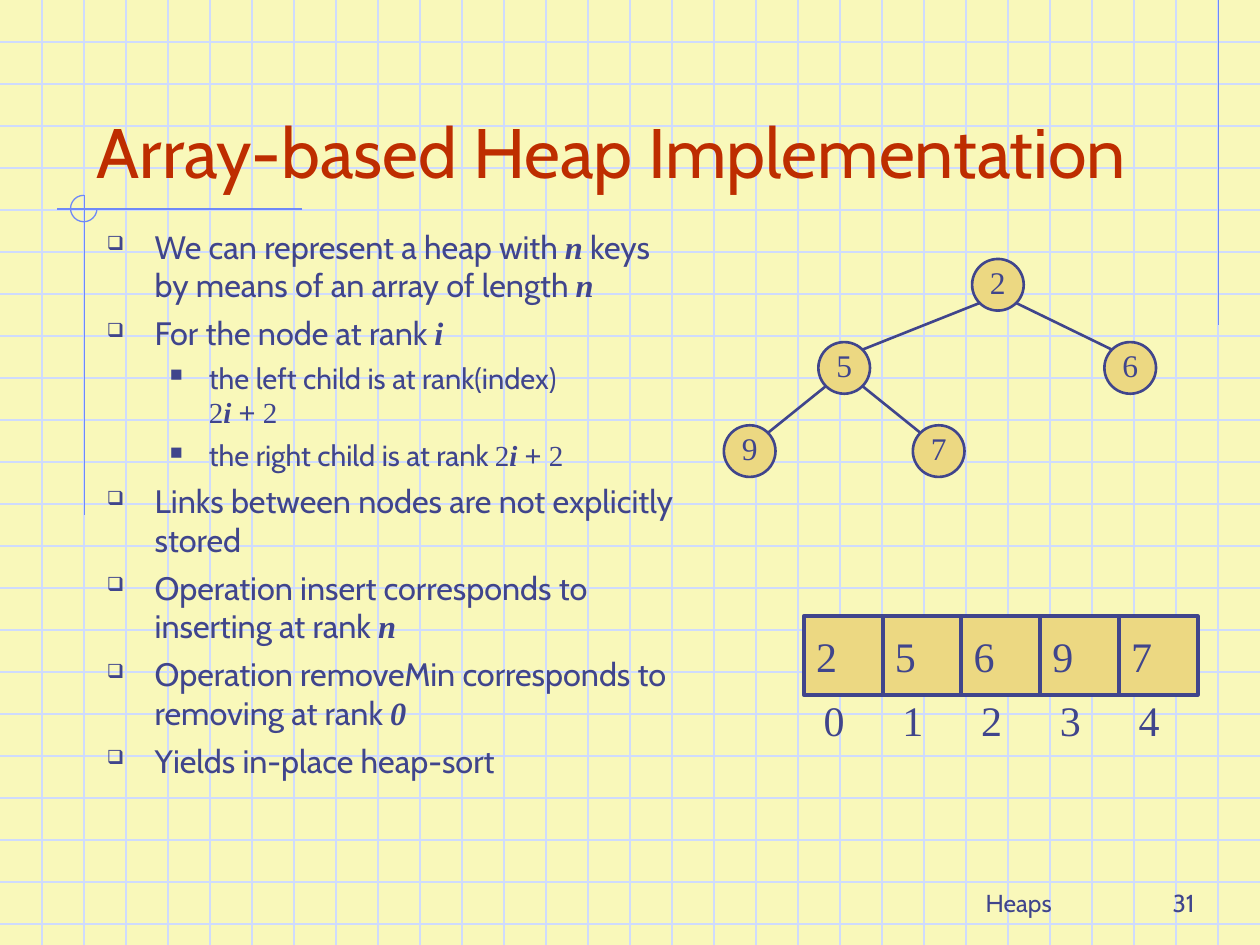
from lxml import etree
from pptx import Presentation
from pptx.dml.color import RGBColor
from pptx.enum.shapes import MSO_CONNECTOR, MSO_SHAPE
from pptx.enum.text import MSO_ANCHOR, PP_ALIGN
from pptx.oxml.ns import qn
from pptx.util import Inches, Pt

STRAIGHT = MSO_CONNECTOR.STRAIGHT
ARC, OVAL, RECTANGLE = MSO_SHAPE.ARC, MSO_SHAPE.OVAL, MSO_SHAPE.RECTANGLE
TOP, MIDDLE, BOTTOM = MSO_ANCHOR.TOP, MSO_ANCHOR.MIDDLE, MSO_ANCHOR.BOTTOM
LEFT, CENTER, RIGHT = PP_ALIGN.LEFT, PP_ALIGN.CENTER, PP_ALIGN.RIGHT

PAPER = RGBColor(0xF9, 0xF8, 0xBA)
GRID_BLUE = RGBColor(0xCF, 0xDB, 0xFD)
ACCENT_BLUE = RGBColor(0x6F, 0x89, 0xF7)
INK = RGBColor(0x40, 0x45, 0x8C)
GOLD = RGBColor(0xEC, 0xD8, 0x82)
RUST = RGBColor(0xBE, 0x2D, 0x00)
SANS, SERIF, SYMBOL = "Cabin", "Times New Roman", "Arial"

WIDTH, HEIGHT = 10, 7.5
GRID_STEP = 1 / 3
PADDING = (0.1, 0.05, 0.1, 0.05)
NO_PADDING = (0, 0, 0, 0)

TITLE = "Array-based Heap Implementation"
BREAK = "break"
PLAIN, NUMBER, VARIABLE, SIGN = (
    (SANS, False), (SERIF, False), (SERIF, True), (SYMBOL, False))
CHILD_RANK = [("2", NUMBER), ("i ", VARIABLE), ("+", SIGN), (" 2", NUMBER)]
BULLETS = [
    (0, [("We can represent a heap with ", PLAIN), ("n", VARIABLE),
         (" keys by means of an array of length ", PLAIN), ("n", VARIABLE)]),
    (0, [("For the node at rank ", PLAIN), ("i", VARIABLE)]),
    (1, [("the left child is at rank(index) ", PLAIN), ("", BREAK)] + CHILD_RANK),
    (1, [("the right child is at rank ", PLAIN)] + CHILD_RANK),
    (0, [("Links between nodes are not explicitly stored", PLAIN)]),
    (0, [("Operation insert corresponds to inserting at rank ", PLAIN), ("n", VARIABLE)]),
    (0, [("Operation removeMin corresponds to removing at rank ", PLAIN), ("0", VARIABLE)]),
    (0, [("Yields in-place heap-sort", PLAIN)]),
]
LEVELS = [
    {"size": 18.5, "before": 5, "mark": "❑", "margin": 0.38, "hang": 0.38},
    {"size": 16.6, "before": 4.5, "mark": "■", "margin": 0.81, "hang": 0.31},
]
HEAP = [2, 5, 6, 9, 7]
NODE_CENTERS_X = [7.92, 6.7, 8.97, 5.95, 7.45]
ROOT_Y, LEVEL_GAP, NODE_SIZE = 2.26, 0.66, 0.41
ARRAY_LEFT, ARRAY_TOP, CELL = 6.38, 4.89, 0.625
ACCENT_LINES = [(9.67, 0, 9.67, 2.58), (2.4, 1.66, 0.45, 1.66), (0.67, 1.55, 0.67, 4.09)]


def draw_line(page, ends, color, width):
    line = page.shapes.add_connector(STRAIGHT, *[Inches(end) for end in ends])
    line.line.color.rgb = color
    line.line.width = Pt(width)
    etree.SubElement(line._element.spPr, qn("a:effectLst"))


def prepare_frame(shape, anchor, padding):
    frame = shape.text_frame
    frame.word_wrap = True
    frame.vertical_anchor = anchor
    (frame.margin_left, frame.margin_top,
     frame.margin_right, frame.margin_bottom) = [Inches(side) for side in padding]
    return frame


def write(shape, text, size, font=SERIF, color=INK, align=LEFT, anchor=TOP, padding=PADDING):
    frame = prepare_frame(shape, anchor, padding)
    frame.text = text
    para = frame.paragraphs[0]
    para.alignment = align
    para.font.name, para.font.size = font, Pt(size)
    para.font.color.rgb = color


def add_box(page, *place):
    return page.shapes.add_textbox(*[Inches(length) for length in place])


def add_outlined(page, kind, place, fill, line, width):
    shape = page.shapes.add_shape(kind, *[Inches(length) for length in place])
    shape.shadow.inherit = False
    if fill is None:
        shape.fill.background()
    else:
        shape.fill.solid()
        shape.fill.fore_color.rgb = fill
    shape.line.color.rgb = line
    shape.line.width = Pt(width)
    return shape


def draw_paper(page):
    page.background.fill.solid()
    page.background.fill.fore_color.rgb = PAPER
    for row in range(1, 23):
        draw_line(page, (0, row * GRID_STEP, WIDTH, row * GRID_STEP), GRID_BLUE, 0.75)
    for column in range(1, 30):
        draw_line(page, (column * GRID_STEP, 0, column * GRID_STEP, HEIGHT), GRID_BLUE, 0.75)
    for ends in ACCENT_LINES:
        draw_line(page, ends, ACCENT_BLUE, 0.75)
    arc = add_outlined(page, ARC, (0.56, 1.55, 0.21, 0.21), None, ACCENT_BLUE, 0.75)
    arc.adjustments[0], arc.adjustments[1] = 0, 162


def add_bullet(para, level):
    properties = para._p.get_or_add_pPr()
    properties.set("marL", str(Inches(level["margin"])))
    properties.set("indent", str(-Inches(level["hang"])))
    color = etree.SubElement(properties, qn("a:buClr"))
    etree.SubElement(color, qn("a:srgbClr"), val=str(INK))
    etree.SubElement(properties, qn("a:buSzPct"), val="60000")
    etree.SubElement(properties, qn("a:buChar"), char=level["mark"])


def write_bullets(page):
    frame = prepare_frame(add_box(page, 0.75, 1.75, 4.83, 5.33), TOP, PADDING)
    for index, (depth, spans) in enumerate(BULLETS):
        level = LEVELS[depth]
        para = frame.add_paragraph() if index else frame.paragraphs[0]
        para.level = depth
        add_bullet(para, level)
        para.space_before = Pt(level["before"] if index else 0)
        for text, style in spans:
            if style == BREAK:
                para.add_line_break()
                continue
            span = para.add_run()
            span.text = text
            span.font.name, emphasis = style
            span.font.bold = span.font.italic = emphasis
            span.font.size = Pt(level["size"])
            span.font.color.rgb = INK


def draw_tree(page):
    centers = [(x, ROOT_Y + LEVEL_GAP * ((rank + 1).bit_length() - 1))
               for rank, x in enumerate(NODE_CENTERS_X)]
    reach = NODE_SIZE / 2 * 0.5 ** 0.5
    for rank in range(1, len(HEAP)):
        x, y = centers[rank]
        parent_x, parent_y = centers[(rank - 1) // 2]
        shift = reach if x > parent_x else -reach
        ends = (parent_x + shift, parent_y + reach, x - shift, y - reach)
        draw_line(page, ends, INK, 1.5)
    for key, (x, y) in zip(HEAP, centers):
        place = (x - NODE_SIZE / 2, y - NODE_SIZE / 2, NODE_SIZE, NODE_SIZE)
        node = add_outlined(page, OVAL, place, GOLD, INK, 1.5)
        write(node, str(key), 18, align=CENTER, anchor=MIDDLE, padding=(0, 0, 0, 0.05))


def draw_array(page):
    for rank, key in enumerate(HEAP):
        left = ARRAY_LEFT + rank * CELL
        cell = add_outlined(page, RECTANGLE, (left, ARRAY_TOP, CELL, CELL), GOLD, INK, 2.25)
        write(cell, str(key), 24, anchor=MIDDLE)
        label = add_box(page, left + CELL / 4, ARRAY_TOP + CELL, 0.3, 0.4)
        write(label, str(rank), 24, padding=NO_PADDING)


def main():
    deck = Presentation()
    deck.slide_width, deck.slide_height = Inches(WIDTH), Inches(HEIGHT)
    page = deck.slides.add_slide(deck.slide_layouts[6])
    draw_paper(page)
    write(add_box(page, 0.67, 0.33, 8.67, 1.25), TITLE, 40, SANS, RUST, anchor=BOTTOM)
    write_bullets(page)
    draw_tree(page)
    draw_array(page)
    write(add_box(page, 6.5, 6.83, 3.17, 0.5), "Heaps", 14, SANS, align=CENTER, anchor=BOTTOM)
    write(add_box(page, 7.5, 6.83, 2.08, 0.5), "31", 14, SANS, align=RIGHT, anchor=BOTTOM)
    deck.save("out.pptx")


if __name__ == "__main__":
    main()
